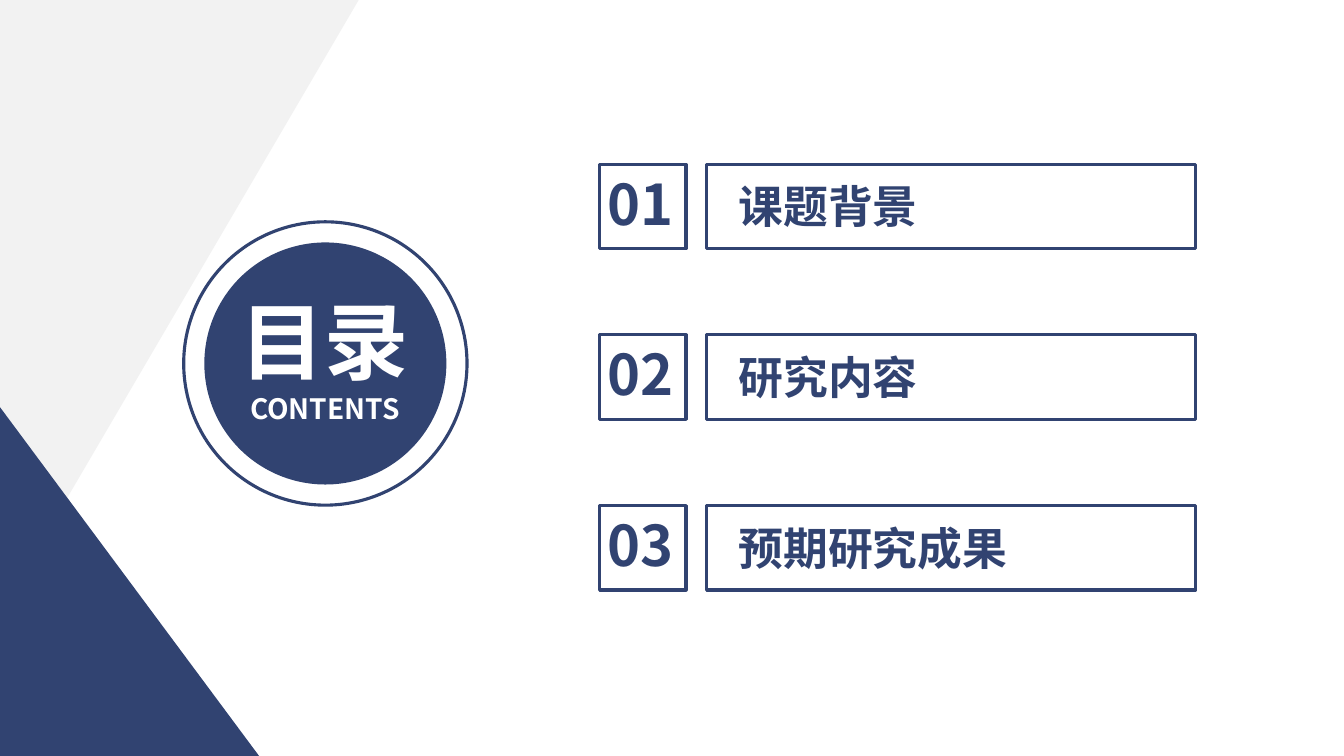
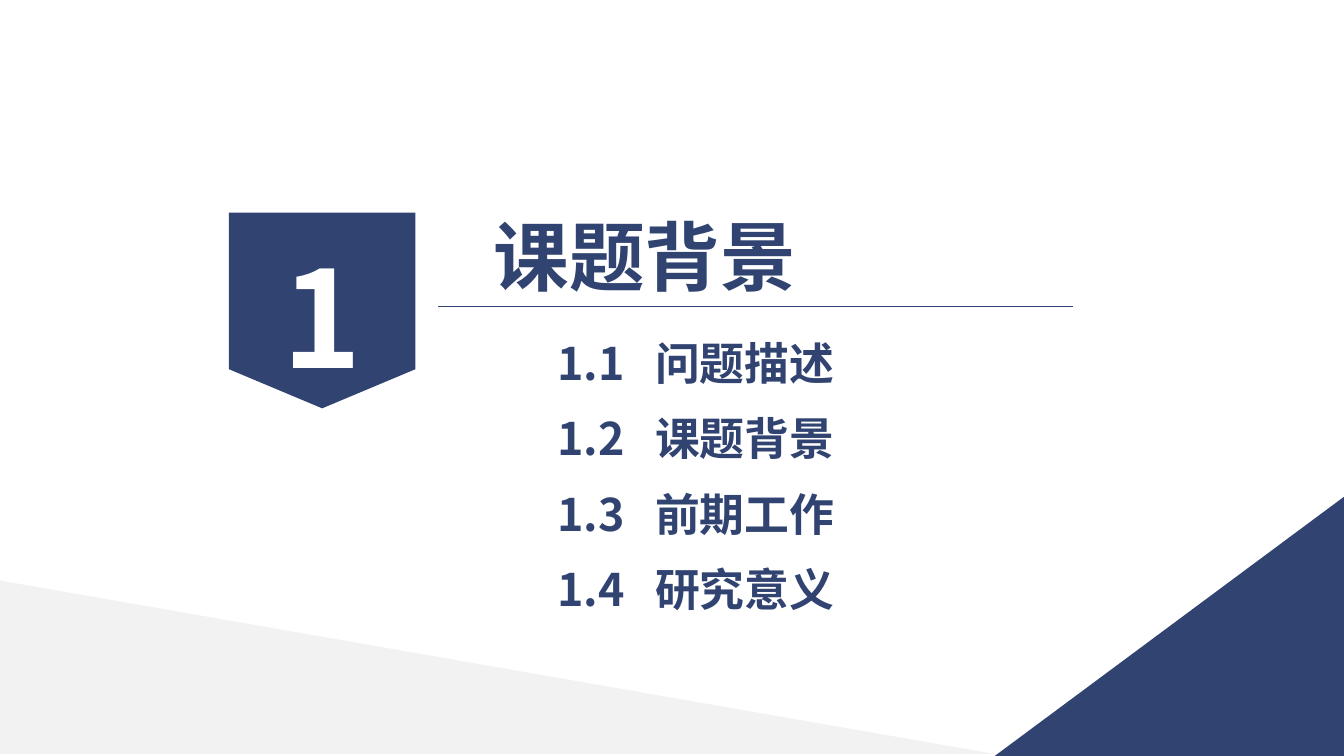
import pptx
import pptx.util
import pptx.dml.color
import pptx.enum.shapes
import pptx.enum.text
import pptx.oxml.ns
from lxml import etree

Cm, Pt = pptx.util.Cm, pptx.util.Pt
SHAPE = pptx.enum.shapes.MSO_SHAPE
ALIGN = pptx.enum.text.PP_ALIGN
FIT = pptx.enum.text.MSO_AUTO_SIZE.SHAPE_TO_FIT_TEXT
MIDDLE = pptx.enum.text.MSO_ANCHOR.MIDDLE
qn = pptx.oxml.ns.qn

NAVY = pptx.dml.color.RGBColor(0x31, 0x43, 0x71)
GREY = pptx.dml.color.RGBColor(0xF2, 0xF2, 0xF2)
WHITE = pptx.dml.color.RGBColor(0xFF, 0xFF, 0xFF)
FONT = "Noto Sans CJK SC"


def paint(shape, fill=None, edge=None):
    """Give a shape a flat fill, an outline, or neither."""
    shape.shadow.inherit = False
    if fill is None:
        shape.fill.background()
    else:
        shape.fill.solid()
        shape.fill.fore_color.rgb = fill
    if edge is None:
        shape.line.fill.background()
    else:
        shape.line.color.rgb = edge
        shape.line.width = Pt(2.25)


def write(shape, text, size, color=NAVY, align=ALIGN.LEFT):
    """Set one bold line of text, for Latin and Chinese alike."""
    para = shape.text_frame.paragraphs[0]
    para.text = text
    para.alignment = align
    for run in para.runs:
        run.font.size = Pt(size)
        run.font.bold = True
        run.font.color.rgb = color
        run.font.name = FONT
        east = etree.SubElement(run.font._element, qn("a:ea"))
        east.set("typeface", FONT)


deck = pptx.Presentation()
deck.slide_width, deck.slide_height = Cm(33.87), Cm(19.05)
blank = deck.slide_layouts[6]
cover = deck.slides.add_slide(blank)
part = deck.slides.add_slide(blank)

# Corner triangles
corners = [
    (cover, GREY, [(0, 0), (9.04, 0), (0, 15.44)]),
    (cover, NAVY, [(0, 19.05), (6.53, 19.05), (0, 10.26)]),
    (part, GREY, [(0, 19), (0, 14.63), (25.07, 19)]),
    (part, NAVY, [(33.87, 19.05), (33.87, 12.52), (25.07, 19.05)]),
]
for slide, color, points in corners:
    points = [(Cm(x), Cm(y)) for x, y in points]
    pen = slide.shapes.build_freeform(*points[0])
    pen.add_line_segments(points[1:], close=True)
    paint(pen.convert_to_shape(), color)

# Contents: disc and ring
for size, fill, edge in [(6.1, NAVY, None), (7.14, None, NAVY)]:
    disc = cover.shapes.add_shape(
        SHAPE.OVAL, Cm(8.2 - size / 2), Cm(9.16 - size / 2), Cm(size), Cm(size))
    paint(disc, fill, edge)

# Single-line labels: slide, left, top, width, height, text, size, colour, align
labels = [
    (cover, 5.79, 7.16, 4.78, 2.82, "目录", 60, WHITE, ALIGN.CENTER),
    (cover, 5.94, 9.73, 4.5, 1.12, "CONTENTS", 20, WHITE, ALIGN.CENTER),
    (part, 12.19, 5.16, 8.13, 2.57, "课题背景", 54, NAVY, ALIGN.LEFT),
]

# Contents: numbered rows
for i, topic in enumerate(["课题背景", "研究内容", "预期研究成果"]):
    top = 4.14 + 4.3 * i
    for left, width in [(15.11, 2.18), (17.81, 12.32)]:
        frame = cover.shapes.add_shape(
            SHAPE.RECTANGLE, Cm(left), Cm(top), Cm(width), Cm(2.13))
        paint(frame, edge=NAVY)
    wide = 0.51 + 1.13 * len(topic)
    labels += [
        (cover, 15.06, top, 2.26, 1.96, f"{i + 1:02}", 40, NAVY, ALIGN.LEFT),
        (cover, 18.36, top + 0.25, wide, 1.63, topic, 32, NAVY, ALIGN.LEFT),
    ]

for slide, left, top, width, height, *style in labels:
    label = slide.shapes.add_textbox(Cm(left), Cm(top), Cm(width), Cm(height))
    label.text_frame.word_wrap = False
    label.text_frame.auto_size = FIT
    write(label, *style)

# Section: number badge and rule
badge = part.shapes.add_shape(
    SHAPE.FLOWCHART_OFFPAGE_CONNECTOR, Cm(5.77), Cm(5.36), Cm(4.7), Cm(4.93))
paint(badge, NAVY)
badge.text_frame.vertical_anchor = MIDDLE
write(badge, "1", 96, WHITE, ALIGN.CENTER)
badge.text_frame.paragraphs[0].line_spacing = 1.3

rule = part.shapes.add_connector(
    pptx.enum.shapes.MSO_CONNECTOR.STRAIGHT,
    Cm(11.05), Cm(7.72), Cm(27.03), Cm(7.72))
rule.line.color.rgb = NAVY
rule.line.width = Pt(1)
etree.SubElement(rule._element.spPr, qn("a:effectLst"))

# Section: topics, with a tab after each number
for i, topic in enumerate(["问题描述", "课题背景", "前期工作", "研究意义"]):
    item = part.shapes.add_textbox(
        Cm(13.72), Cm(8.28 + 1.9 * i), Cm(12.32), Cm(1.7))
    body = item.text_frame
    body.word_wrap = True
    body.auto_size = FIT
    body.margin_left = body.margin_right = Cm(0.33)
    body.margin_top = body.margin_bottom = Cm(0.18)
    props = body.paragraphs[0]._p.get_or_add_pPr()
    tabs = etree.SubElement(props, qn("a:tabLst"))
    etree.SubElement(tabs, qn("a:tab"), pos=str(Cm(2.46)), algn="l")
    write(item, f"1.{i + 1}\t{topic}", 32)

deck.save("out.pptx")
